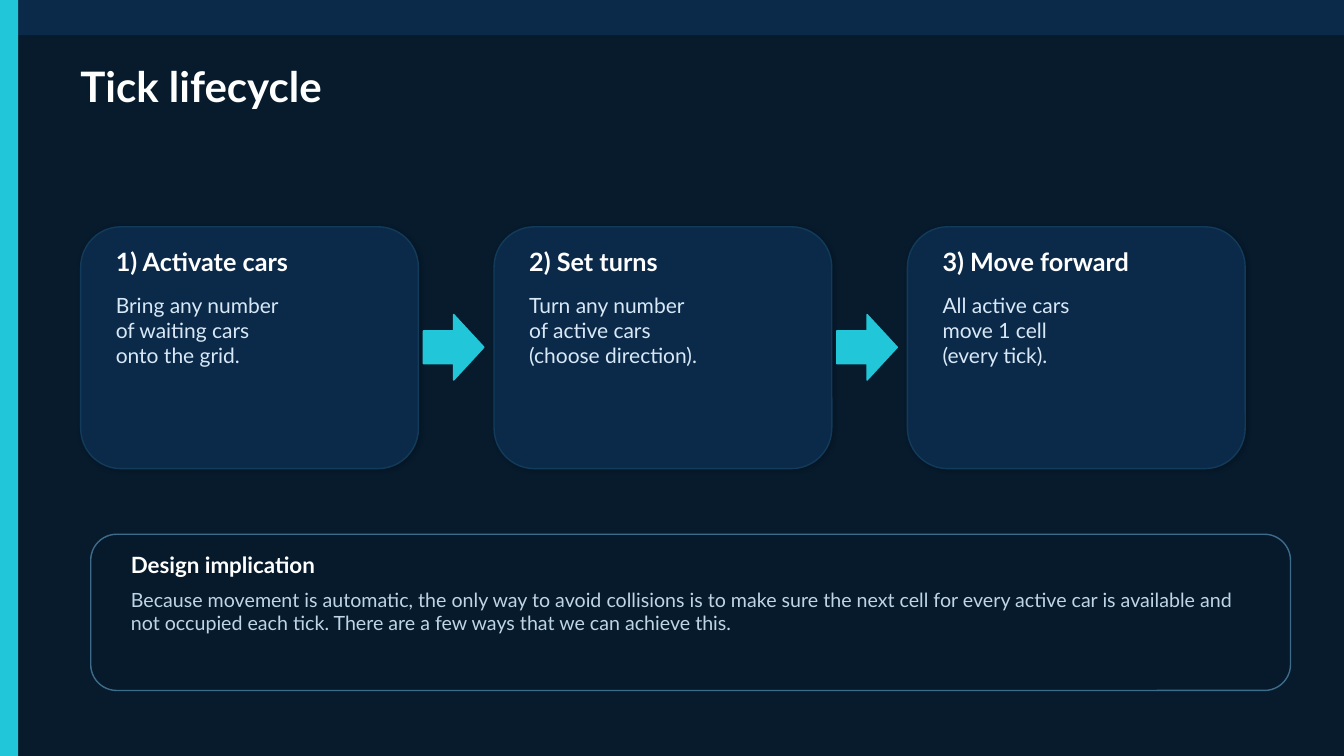
from lxml import etree
from pptx import Presentation
from pptx import util as u
from pptx.dml.color import RGBColor
from pptx.enum import shapes, text
from pptx.oxml import ns

BACKGROUND = RGBColor(0x07, 0x1B, 0x2D)
NAVY = RGBColor(0x0B, 0x2A, 0x4A)
CYAN = RGBColor(0x21, 0xC7, 0xD9)
WHITE = RGBColor(0xFF, 0xFF, 0xFF)
CARD_LINE = RGBColor(0x12, 0x3B, 0x5A)
CARD_TEXT = RGBColor(0xD8, 0xE8, 0xF6)
NOTE_FILL = RGBColor(0x06, 0x1A, 0x2B)
NOTE_LINE = RGBColor(0x3D, 0x6C, 0x8B)
NOTE_TEXT = RGBColor(0xBF, 0xD5, 0xE6)

FONT = "Lato"
SHAPE = shapes.MSO_SHAPE
MIDDLE, TOP = text.MSO_ANCHOR.MIDDLE, text.MSO_ANCHOR.TOP
SLIDE_W, SLIDE_H = 13.33, 7.5

STEPS = [
    ("1) Activate cars",
     ["Bring any number", "of waiting cars", "onto the grid."]),
    ("2) Set turns",
     ["Turn any number", "of active cars", "(choose direction)."]),
    ("3) Move forward",
     ["All active cars", "move 1 cell", "(every tick)."]),
]
IMPLICATION = (
    "Because movement is automatic, the only way to avoid collisions is to "
    "make sure the next cell for every active car is available and not "
    "occupied each tick. There are a few ways that we can achieve this."
)


def inches(box):
    return [u.Inches(v) for v in box]


def add_block(slide, kind, box, fill, line=None):
    sp = slide.shapes.add_shape(kind, *inches(box))
    sp.shadow.inherit = False
    sp.fill.solid()
    sp.fill.fore_color.rgb = fill
    if line is None:
        sp.line.fill.background()
    else:
        sp.line.color.rgb = line
        sp.line.width = u.Pt(1)
    return sp


def add_soft_shadow(sp):
    """Cast a faint black shadow to the lower right."""
    effects = sp._element.spPr.find(ns.qn("a:effectLst"))
    shadow = etree.SubElement(
        effects, ns.qn("a:outerShdw"), blurRad=str(u.Pt(3)),
        dist=str(u.Pt(1.2)), dir="2700000", algn="tl", rotWithShape="0")
    color = etree.SubElement(shadow, ns.qn("a:srgbClr"), val="000000")
    etree.SubElement(color, ns.qn("a:alpha"), val="22000")


def add_text(slide, box, lines, size, color, bold=False, anchor=TOP):
    tf = slide.shapes.add_textbox(*inches(box)).text_frame
    tf.word_wrap = True
    tf.vertical_anchor = anchor
    font = {"name": FONT, "size": u.Pt(size), "bold": bold}
    for i, line in enumerate(lines):
        p = tf.add_paragraph() if i else tf.paragraphs[0]
        r = p.add_run()
        r.text = line
        for key, value in font.items():
            setattr(r.font, key, value)
        r.font.color.rgb = color


def add_heading(slide, box, line, size):
    add_text(slide, box, [line], size, WHITE, bold=True, anchor=MIDDLE)


def add_frame(slide, x, y, w, h):
    """Draw the background, the top band, the side bar and the title."""
    slide.background.fill.solid()
    slide.background.fill.fore_color.rgb = BACKGROUND
    add_block(slide, SHAPE.RECTANGLE, (x, y, w, 0.35), NAVY)
    add_block(slide, SHAPE.RECTANGLE, (x, y, 0.18, h), CYAN)
    add_heading(slide, (x + 0.7, y + 0.55, 12.2, 0.6), "Tick lifecycle", 30)


def add_step_card(slide, x, y, w, h, heading, lines):
    card = add_block(slide, SHAPE.ROUNDED_RECTANGLE, (x, y, w, h),
                     NAVY, CARD_LINE)
    add_soft_shadow(card)
    add_heading(slide, (x + 0.25, y + 0.17, w - 0.5, 0.35), heading, 18)
    add_text(slide, (x + 0.25, y + 0.6, w - 0.5, h - 0.7), lines,
             15, CARD_TEXT)


def add_steps(slide, x, y, w, h, gap=0.75):
    """Spread the step cards over the box, with an arrow in each gap."""
    card_w = (w - gap * (len(STEPS) - 1)) / len(STEPS)
    for i, (heading, lines) in enumerate(STEPS):
        left = x + i * (card_w + gap)
        if i:
            add_block(slide, SHAPE.RIGHT_ARROW,
                      (left - gap + 0.05, y + 0.87, 0.6, 0.65), CYAN, CYAN)
        add_step_card(slide, left, y, card_w, h, heading, lines)


def add_implication(slide, x, y, w, h):
    add_block(slide, SHAPE.ROUNDED_RECTANGLE, (x, y, w, h),
              NOTE_FILL, NOTE_LINE)
    add_heading(slide, (x + 0.3, y + 0.15, w - 0.7, 0.3),
                "Design implication", 16)
    add_text(slide, (x + 0.3, y + 0.48, w - 0.7, h - 0.6), [IMPLICATION],
             14, NOTE_TEXT)


def main():
    prs = Presentation()
    prs.slide_width, prs.slide_height = inches((SLIDE_W, SLIDE_H))
    slide = prs.slides.add_slide(prs.slide_layouts[6])
    add_frame(slide, 0, 0, SLIDE_W, SLIDE_H)
    add_steps(slide, 0.8, 2.25, 11.55, 2.4)
    add_implication(slide, 0.9, 5.3, 11.9, 1.55)
    prs.save("out.pptx")


if __name__ == "__main__":
    main()
